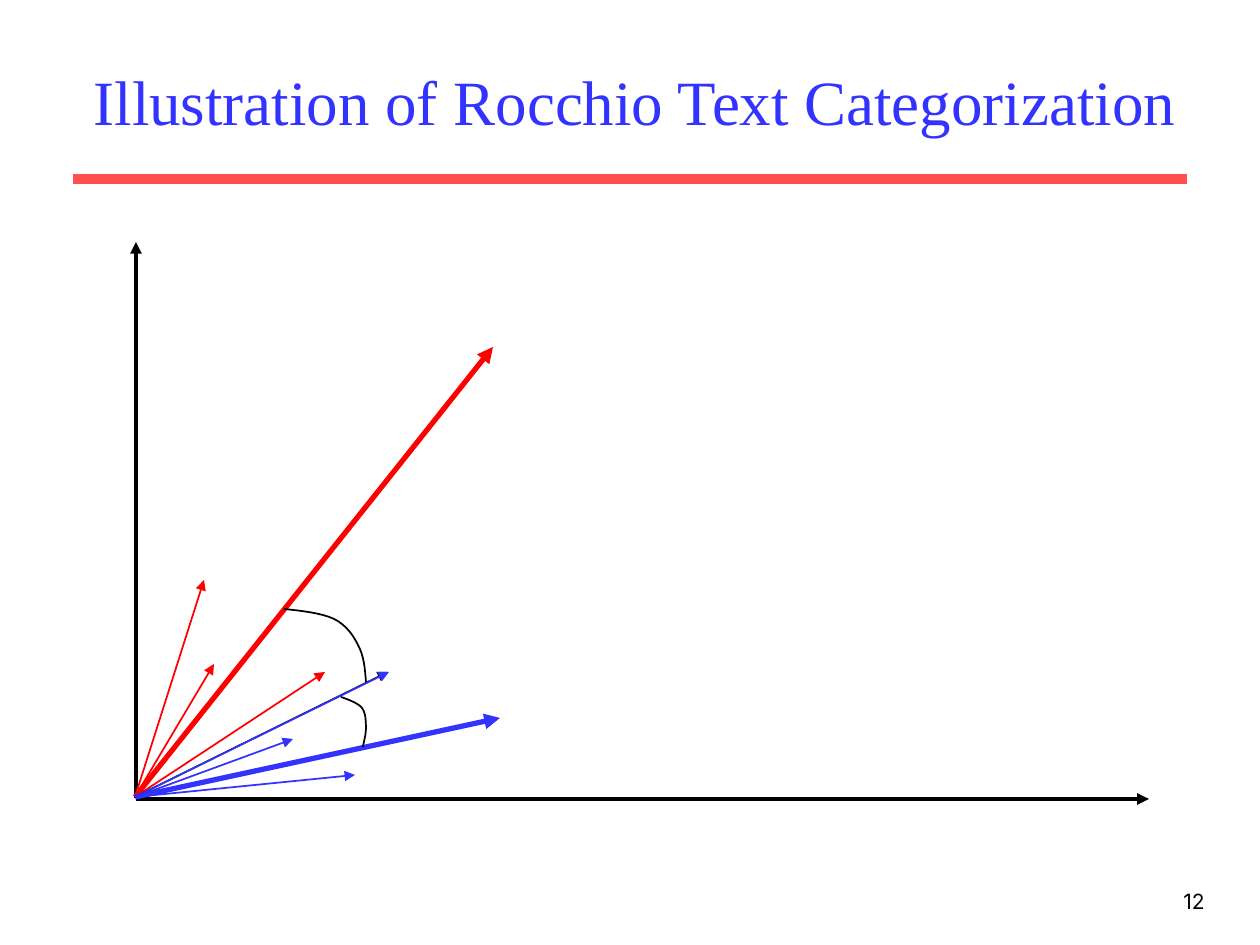
"""Build a slide of Rocchio class vectors and the angles to a test vector."""
import dataclasses

import lxml.etree
import pptx
import pptx.dml.color
import pptx.enum.shapes
import pptx.enum.text
import pptx.oxml.ns
import pptx.util

SCALE = 914400 // 126


@dataclasses.dataclass(frozen=True)
class Theme:
    blue: str = "3333FF"
    red: str = "FF0000"
    rule: str = "FF5050"
    ink: str = "000000"
    serif: str = "Times New Roman"
    sans: str = "Inter"
    title: int = 36
    small: int = 12
    thin: float = 1
    axis: float = 2.25
    bold: float = 3
    band: float = 6


THEME = Theme()


def px(*sizes):
    return [pptx.util.Emu(round(size * SCALE)) for size in sizes]


def tint(color):
    return pptx.dml.color.RGBColor.from_string(color)


def write(shape, text, font, size, color, align, anchor):
    frame = shape.text_frame
    frame.word_wrap = True
    frame.vertical_anchor = anchor
    frame.text = text
    para = frame.paragraphs[0]
    para.alignment = align
    face = para.runs[0].font
    face.name, face.size = font, pptx.util.Pt(size)
    face.color.rgb = tint(color)


def stroke(slide, start, end, color, width, arrow=True):
    kind = pptx.enum.shapes.MSO_CONNECTOR.STRAIGHT
    link = slide.shapes.add_connector(kind, *px(*start, *end))
    link.line.color.rgb = tint(color)
    link.line.width = pptx.util.Pt(width)
    tag = pptx.oxml.ns.qn
    if arrow:
        line = link.line._get_or_add_ln()
        lxml.etree.SubElement(line, tag("a:tailEnd"), type="triangle")
    lxml.etree.SubElement(link._element.spPr, tag("a:effectLst"))


def bend(a, b, c, d, t):
    s = 1 - t
    return [s**3 * i + 3 * s * s * t * j + 3 * s * t * t * k + t**3 * m
            for i, j, k, m in zip(a, b, c, d)]


def curve(slide, knots, steps=8):
    dots = [bend(*knots[i:i + 4], step / steps)
            for i in range(0, len(knots) - 1, 3)
            for step in range(1, steps + 1)]
    path = slide.shapes.build_freeform(*px(*knots[0]))
    path.add_line_segments([px(*dot) for dot in dots], close=False)
    arc = path.convert_to_shape()
    arc.shadow.inherit = False
    arc.fill.background()
    arc.line.color.rgb = tint(THEME.ink)
    arc.line.width = pptx.util.Pt(THEME.thin)


def main():
    deck = pptx.Presentation()
    deck.slide_width, deck.slide_height = px(1260, 945)
    slide = deck.slides.add_slide(deck.slide_layouts[5])
    align, anchor = pptx.enum.text.PP_ALIGN, pptx.enum.text.MSO_ANCHOR

    title = slide.shapes.title
    title.left, title.top, title.width, title.height = px(63, 32, 1144, 136)
    write(title, "Illustration of Rocchio Text Categorization", THEME.serif,
          THEME.title, THEME.blue, align.CENTER, anchor.MIDDLE)
    stroke(slide, (73, 179), (1187, 179), THEME.rule, THEME.band, False)
    number = slide.shapes.add_textbox(*px(955, 882, 262, 63))
    write(number, "12", THEME.sans, THEME.small, THEME.ink,
          align.RIGHT, anchor.TOP)

    for start, end in [((136, 798), (136, 242)), ((136, 799), (1149, 799))]:
        stroke(slide, start, end, THEME.ink, THEME.axis)

    root = (135, 797)
    rays = [
        (204, 580, THEME.red, THEME.thin),
        (214, 664, THEME.red, THEME.thin),
        (325, 672, THEME.red, THEME.thin),
        (355, 775, THEME.blue, THEME.thin),
        (293, 739, THEME.blue, THEME.thin),
        (493, 347, THEME.red, THEME.bold),
        (500, 718, THEME.blue, THEME.bold),
        (388, 672, THEME.ink, THEME.thin),
    ]
    for x, y, color, width in rays:
        stroke(slide, root, (x, y), color, width)

    curve(slide, [(284, 609), (302, 611), (321, 613), (334, 619),
                  (346, 625), (353, 635), (358, 645),
                  (364, 656), (365, 669), (366, 682)])
    curve(slide, [(341, 697), (349, 700), (358, 703), (362, 708),
                  (366, 713), (366, 722), (366, 728),
                  (366, 735), (364, 741), (363, 747)])
    stroke(slide, root, (389, 672), THEME.blue, THEME.thin)
    deck.save("out.pptx")


main()
